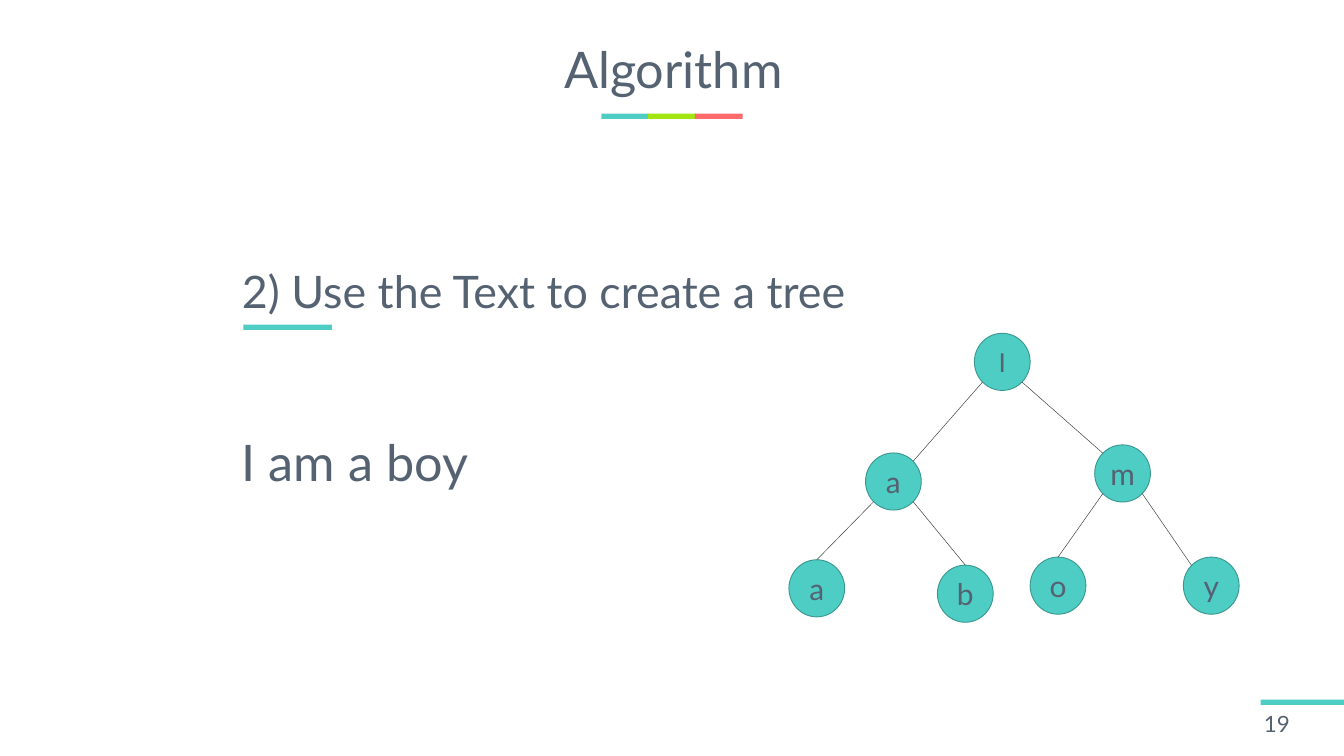
"""Builds the slide on turning a text into a binary tree."""
from math import sqrt

from lxml.etree import SubElement
from pptx import Presentation
from pptx.dml.color import RGBColor
from pptx.enum.shapes import MSO_CONNECTOR, MSO_SHAPE
from pptx.enum.text import MSO_ANCHOR, MSO_AUTO_SIZE, PP_ALIGN
from pptx.oxml.ns import qn
from pptx.util import Inches, Pt

TEAL, LIME, CORAL = "4ECDC4", "A3E511", "FF6B6B"
SLATE, RIM, BRANCH = "556272", "3A9891", "3B3B3B"

deck = Presentation()
deck.slide_width, deck.slide_height = Inches(20), Inches(11.25)
column = row = deck.slide_width / 200


def color(code):
    return RGBColor.from_string(code)


def write(holder, words, size, align=PP_ALIGN.LEFT, anchor=MSO_ANCHOR.MIDDLE, spacing=1):
    frame = holder.text_frame
    frame.text = words
    line = frame.paragraphs[0]
    formats = [
        (frame, {"word_wrap": True, "auto_size": MSO_AUTO_SIZE.NONE, "vertical_anchor": anchor}),
        (line, {"alignment": align, "line_spacing": spacing, "space_before": Pt(0)}),
        (line.runs[0].font, {"name": "Lato", "size": Pt(size)}),
    ]
    for target, values in formats:
        for attribute, value in values.items():
            setattr(target, attribute, value)
    line.runs[0].font.color.rgb = color(SLATE)
    return line


slide = deck.slides.add_slide(deck.slide_layouts[1])
shapes = slide.shapes
slide.background.fill.solid()
slide.background.fill.fore_color.rgb = color("FFFFFF")

bars = [(89.5 + 6.95 * i, 16.9, 7.1, code) for i, code in enumerate((TEAL, LIME, CORAL))]
bars += [(187.6, 104.1, 12.4, TEAL), (36.2, 48.3, 13.2, TEAL)]
for left, top, width, code in bars:
    bar = shapes.add_shape(MSO_SHAPE.RECTANGLE, int(left * column), int(top * row),
                           int(width * column), int(0.8 * row))
    bar.shadow.inherit = False
    bar.fill.solid()
    bar.fill.fore_color.rgb = color(code)
    bar.line.fill.background()

heading, step = shapes.title, slide.placeholders[1]
page_number = shapes.add_textbox(0, 0, 0, 0)
sentence = shapes.add_textbox(0, 0, 0, 0)
places = [
    (heading, (5.4, 3.8, 189.6, 14)),
    (step, (35, 39.1, 130, 8.2)),
    (page_number, (187.1, 105, 12.9, 5.3)),
    (sentence, (35, 63.6, 43.3, 10.1)),
]
for holder, place in places:
    for side, share in zip(("left", "top", "width", "height"), place):
        setattr(holder, side, int(share * column))

write(heading, "Algorithm", 54, align=PP_ALIGN.CENTER, spacing=0.9)
step_line = write(step, "2) Use the Text to create a tree", 48)
step_format = step_line._p.get_or_add_pPr()
step_format.set("marL", "0")
step_format.set("indent", "0")
SubElement(step_format, qn("a:buNone"))
write(page_number, "19", 24)
write(sentence, "I am a boy", 54, anchor=MSO_ANCHOR.TOP)

node_width, node_height = 8.3, 8.5
nodes = {
    "root": ("I", 145, 49.6, 28),
    "left": ("a", 128.8, 67.4, 32),
    "right": ("m", 162.9, 66.2, 32),
    "left leaf 1": ("a", 117.4, 83.3, 32),
    "left leaf 2": ("b", 139.5, 84.1, 32),
    "right leaf 1": ("o", 153.3, 82.9, 32),
    "right leaf 2": ("y", 176.1, 82.9, 32),
}
for letter, left, top, size in nodes.values():
    node = shapes.add_shape(MSO_SHAPE.OVAL, int(left * column), int(top * row),
                            int(node_width * column), int(node_height * row))
    node.shadow.inherit = False
    node.fill.solid()
    node.fill.fore_color.rgb = color(TEAL)
    node.line.color.rgb = color(RIM)
    node.line.width = Pt(1)
    write(node, letter, size, align=PP_ALIGN.CENTER)

diagonal = 1 / sqrt(2)
rim_points = {
    "top": (0, -1),
    "top left": (-diagonal, -diagonal),
    "top right": (diagonal, -diagonal),
    "bottom left": (-diagonal, diagonal),
    "bottom right": (diagonal, diagonal),
}
branches = [
    ("left", "bottom left", "left leaf 1", "top"),
    ("left", "bottom right", "left leaf 2", "top"),
    ("root", "bottom left", "left", "top right"),
    ("root", "bottom right", "right", "top left"),
    ("right", "bottom left", "right leaf 1", "top"),
    ("right", "bottom right", "right leaf 2", "top left"),
]
for parent, parent_side, child, child_side in branches:
    ends = []
    for name, side in ((parent, parent_side), (child, child_side)):
        left, top = nodes[name][1:3]
        across, down = rim_points[side]
        ends += [int((left + node_width / 2 * (1 + across)) * column),
                 int((top + node_height / 2 * (1 + down)) * row)]
    branch = shapes.add_connector(MSO_CONNECTOR.STRAIGHT, *ends)
    branch.line.color.rgb = color(BRANCH)
    branch.line.width = Pt(0.5)
    SubElement(branch._element.spPr, qn("a:effectLst"))

deck.save("out.pptx")
